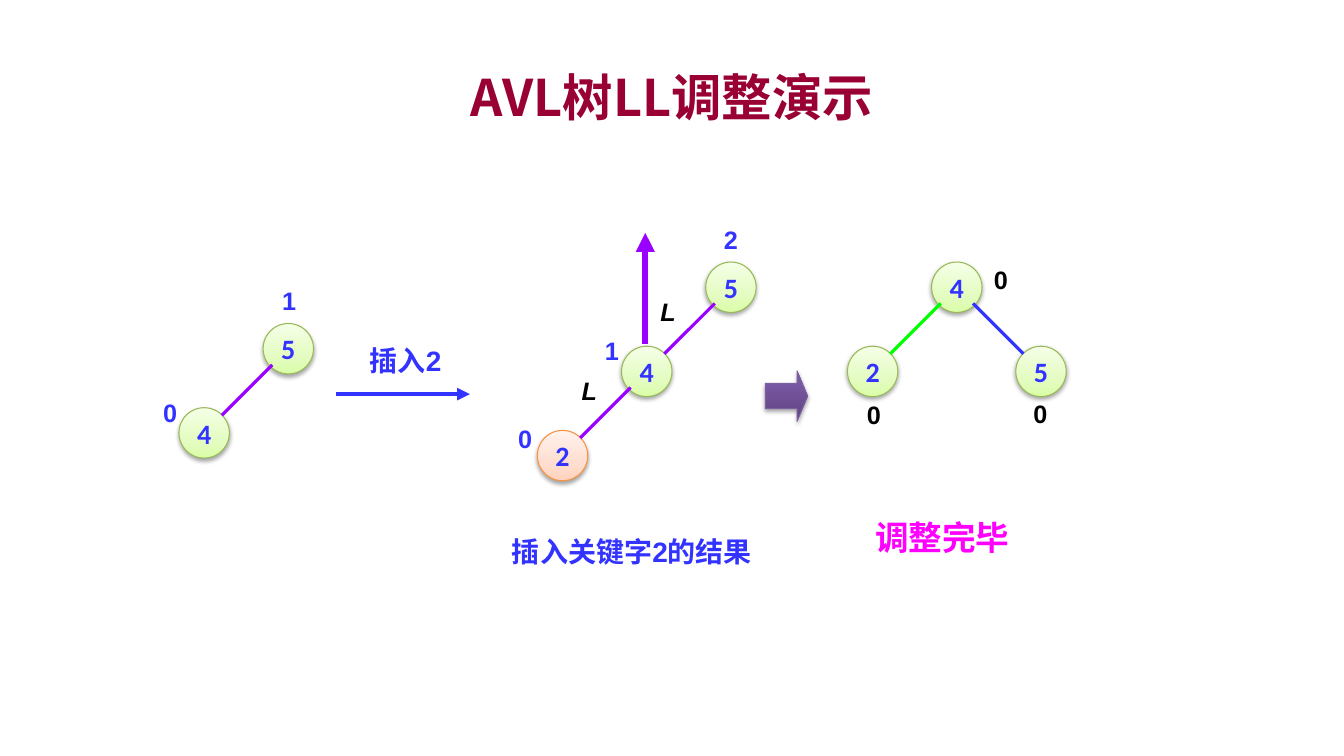
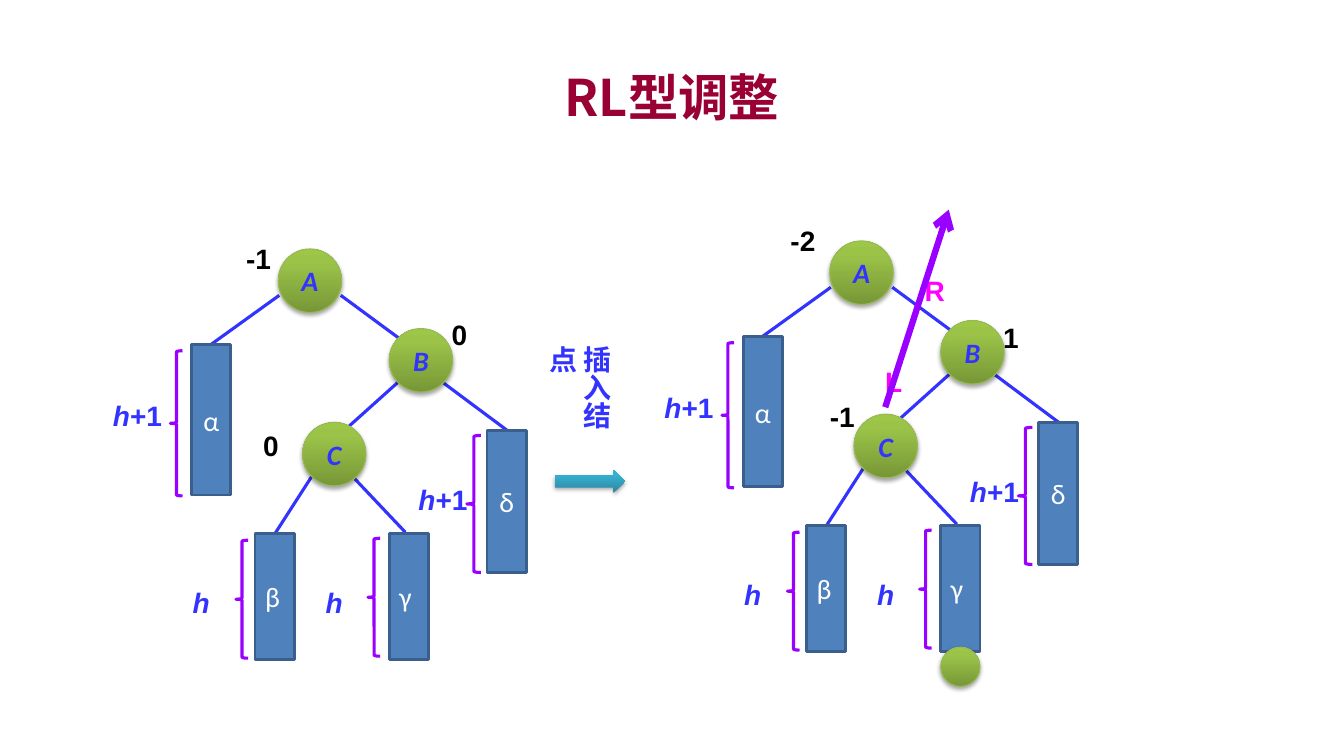
from copy import deepcopy

from lxml import etree
from pptx import Presentation
from pptx.dml.color import RGBColor
from pptx.enum.shapes import MSO_CONNECTOR, MSO_SHAPE
from pptx.enum.text import MSO_ANCHOR, MSO_AUTO_SIZE, PP_ALIGN
from pptx.oxml.ns import qn
from pptx.util import Inches, Pt

ELLIPSE, RECTANGLE = MSO_SHAPE.OVAL, MSO_SHAPE.RECTANGLE
ARROW, BRACE = MSO_SHAPE.RIGHT_ARROW, MSO_SHAPE.LEFT_BRACE
STRAIGHT = MSO_CONNECTOR.STRAIGHT
LEFT, CENTER = PP_ALIGN.LEFT, PP_ALIGN.CENTER
MIDDLE, FIT_TEXT = MSO_ANCHOR.MIDDLE, MSO_AUTO_SIZE.SHAPE_TO_FIT_TEXT

COLORS = {
    "title": "990033", "blue": "3333FF", "purple": "9900FF", "green": "00FF00",
    "pink": "FF00FF", "black": "000000", "white": "FFFFFF",
    "bar": "4F81BD", "bar line": "3A5F8C", "olive line": "98B955",
    "orange line": "F69240", "violet line": "7D60A0",
}
# Gradient stops run from bottom to top
GRADIENTS = {
    "pale green": ((0, "DAFDA7"), (0.35, "E4FCC2"), (1, "F5FFE7")),
    "pale orange": ((0, "FFD2BD"), (0.35, "FFDED0"), (1, "FFF2ED")),
    "olive": ((0, "779737"), (0.8, "9BC348"), (1, "9DC746")),
    "violet": ((0, "5F4480"), (0.8, "7B58A6"), (1, "7C57A8")),
    "teal": ((0, "2A88A2"), (0.8, "37B1D2"), (1, "34B4D6")),
}
CJK_FONT = "Noto Sans CJK SC"


def add_item(slide, box, text="", kind=None, fill=None, line=None, width=0.75,
             size=20, color="blue", font="Arial", bold=True, italic=False,
             align=LEFT, inset=True, wrap=True):
    """Add a preset shape, or a text box when kind is None."""
    box = [Inches(value) for value in box]
    if kind is None:
        shape = slide.shapes.add_textbox(*box)
    else:
        shape = slide.shapes.add_shape(kind, *box)
        shape.shadow.inherit = False
        if fill in GRADIENTS:
            shape.fill.gradient()
            shape.fill.gradient_angle = 90
            properties = shape._element.spPr
            stop_list = properties.find(".//" + qn("a:gsLst"))
            stop_list.append(deepcopy(stop_list[0]))
            for stop, (position, stop_color) in zip(shape.fill.gradient_stops, GRADIENTS[fill]):
                stop.position = position
                stop.color.rgb = RGBColor.from_string(stop_color)
            shadow = etree.SubElement(
                properties.find(qn("a:effectLst")), qn("a:outerShdw"), blurRad=str(Pt(3.1)),
                dist=str(Pt(1.8)), dir="5400000", rotWithShape="0")
            shadow_color = etree.SubElement(shadow, qn("a:srgbClr"), val=COLORS["black"])
            etree.SubElement(shadow_color, qn("a:alpha"), val="35000")
        elif fill:
            shape.fill.solid()
            shape.fill.fore_color.rgb = RGBColor.from_string(COLORS[fill])
        else:
            shape.fill.background()
        if line:
            shape.line.color.rgb = RGBColor.from_string(COLORS[line])
            shape.line.width = Pt(width)
        else:
            shape.line.fill.background()
    if text:
        frame = shape.text_frame
        frame.word_wrap = wrap
        if kind is None:
            frame.auto_size = FIT_TEXT
        else:
            frame.vertical_anchor = MIDDLE
        if not inset:
            frame.margin_left = frame.margin_right = 0
            frame.margin_top = frame.margin_bottom = 0
        paragraph = frame.paragraphs[0]
        paragraph.add_run().text = text
        paragraph.alignment = align
        paragraph.font.name = font
        paragraph.font.size = Pt(size)
        paragraph.font.bold = bold
        paragraph.font.italic = italic
        paragraph.font.color.rgb = RGBColor.from_string(COLORS[color])
        defaults = paragraph._p.pPr.find(qn("a:defRPr"))
        etree.SubElement(defaults, qn("a:ea"), typeface=CJK_FONT)
    return shape


def add_line(slide, start, end, color="blue", width=2.25, head=None):
    points = [Inches(value) for value in (*start, *end)]
    connector = slide.shapes.add_connector(STRAIGHT, *points)
    connector.line.color.rgb = RGBColor.from_string(COLORS[color])
    connector.line.width = Pt(width)
    if head:
        etree.SubElement(connector.line._get_or_add_ln(), qn("a:tailEnd"), type=head)
    etree.SubElement(connector._element.spPr, qn("a:effectLst"))


presentation = Presentation()
presentation.slide_width = Inches(13.33)
presentation.slide_height = Inches(7.5)
slides = []
for title in ("AVL树LL调整演示", "RL型调整"):
    slide = presentation.slides.add_slide(presentation.slide_layouts[6])
    title_box = add_item(slide, (1, 0.58, 11.33, 0.75), title, size=36, color="title",
                         font=CJK_FONT, align=CENTER)
    title_box.text_frame.auto_size = MSO_AUTO_SIZE.NONE
    title_box.text_frame.vertical_anchor = MIDDLE
    slides.append(slide)
ll_slide, rl_slide = slides

# LL rotation: node places are columns and rows counted from the root
STEP = 0.835
NODE = 0.5
EDGE_START, EDGE_END = 0.16, 0.66
ll_trees = [
    ((2.86, 3.46), [("5", 0, 0), ("4", -1, 1)], [(0, 0, -1, "purple")]),
    ((7.25, 2.85), [("5", 0, 0), ("4", -1, 1), ("2", -2, 2)],
     [(0, 0, -1, "purple"), (-1, 1, -1, "purple")]),
    ((9.49, 2.85), [("4", 0, 0), ("2", -1, 1), ("5", 1, 1)],
     [(0, 0, -1, "green"), (0, 0, 1, "blue")]),
]
for (root_x, root_y), nodes, edges in ll_trees:
    for key, column, row in nodes:
        inserted = row == 2
        left = root_x + column * STEP - NODE / 2
        top = root_y + row * STEP - NODE / 2
        add_item(ll_slide, (left, top, NODE, NODE), key, ELLIPSE,
                 "pale orange" if inserted else "pale green",
                 "orange line" if inserted else "olive line",
                 font="Calibri", align=CENTER, wrap=False)
    for column, row, side, color in edges:
        x, y = root_x + column * STEP, root_y + row * STEP
        add_line(ll_slide, (x + side * EDGE_START, y + EDGE_START),
                 (x + side * EDGE_END, y + EDGE_END), color)

for text, left, top, color in [
    ("0", 1.52, 3.89, "blue"), ("1", 2.7, 2.78, "blue"),
    ("0", 5.04, 4.15, "blue"), ("1", 5.9, 3.28, "blue"), ("2", 7.08, 2.18, "blue"),
    ("L", 6.45, 2.89, "black"), ("L", 5.67, 3.67, "black"),
    ("0", 8.5, 3.91, "black"), ("0", 10.15, 3.9, "black"), ("0", 9.76, 2.57, "black"),
]:
    add_item(ll_slide, (left, top, 0.31, 0.4), text, size=18, color=color, italic=text == "L")

add_item(ll_slide, (3.57, 3.36, 1.1, 0.43), "插入2")
add_item(ll_slide, (4.98, 5.25, 2.76, 0.43), "插入关键字2的结果")
add_item(ll_slide, (8.58, 5.08, 1.89, 0.5), "调整完毕", size=24, color="pink")
add_line(ll_slide, (3.33, 3.91), (4.66, 3.91), width=3, head="triangle")
add_line(ll_slide, (6.4, 3.41), (6.4, 2.31), "purple", 4.5, "triangle")
block_arrow = add_item(ll_slide, (7.59, 3.68, 0.42, 0.5), kind=ARROW,
                       fill="violet", line="violet line")
block_arrow.adjustments[1] = 0.25

# RL rotation: the same tree before and after the insertion
BAR_WIDTH = 0.39
BIG_NODE = 0.63
rl_edges = [
    ((2.77, 2.93), (2.09, 3.42)), ((3.38, 2.93), (3.95, 3.35)),
    ((3.95, 3.79), (3.46, 4.23)), ((4.4, 3.8), (5.03, 4.27)),
    ((3.09, 4.73), (2.73, 5.29)), ((3.49, 4.72), (4.02, 5.28)),
]
rl_nodes = [("A", 2.76, 2.47), ("B", 3.86, 3.26), ("C", 3, 4.19)]
# Name, bar (left, top, height), brace box, height label place, suffix, alignment
subtrees = [
    ("α", (1.9, 3.42, 1.49), (1.69, 3.48, 0.12, 1.44), (1.12, 3.95), "+1", CENTER),
    ("δ", (4.83, 4.27, 1.41), (4.63, 4.32, 0.14, 1.36), (4.15, 4.79), "+1", CENTER),
    ("β", (2.53, 5.29, 1.25), (2.34, 5.36, 0.12, 1.17), (1.91, 5.81), "", LEFT),
    ("γ", (3.86, 5.29, 1.25), (3.65, 5.34, 0.12, 1.17), (3.23, 5.81), "", LEFT),
]
for shift_x, shift_y in ((0, 0), (5.47, -0.08)):
    for (x1, y1), (x2, y2) in rl_edges:
        add_line(rl_slide, (x1 + shift_x, y1 + shift_y), (x2 + shift_x, y2 + shift_y))
    for name, (left, top, height), brace, (label_x, label_y), suffix, align in subtrees:
        add_item(rl_slide, (left + shift_x, top + shift_y, BAR_WIDTH, height), name,
                 RECTANGLE, "bar", "bar line", 2, color="white", font="Calibri",
                 bold=False, align=align)
        add_item(rl_slide, (brace[0] + shift_x, brace[1] + shift_y, *brace[2:]),
                 kind=BRACE, line="purple", width=2.25)
        label = add_item(rl_slide, (label_x + shift_x, label_y + shift_y, 0.54, 0.34),
                         "h", italic=True, inset=False)
        if suffix:
            run = label.text_frame.paragraphs[0].add_run()
            run.text = suffix
            run.font.italic = False
    for name, left, top in rl_nodes:
        add_item(rl_slide, (left + shift_x, top + shift_y, BIG_NODE, BIG_NODE), name,
                 ELLIPSE, "olive", "olive line", font="Calibri", italic=True,
                 align=CENTER)

for text, left, top, color in [
    ("-1", 2.44, 2.4, "black"), ("0", 4.48, 3.15, "black"), ("0", 2.61, 4.25, "black"),
    ("-2", 7.84, 2.22, "black"), ("1", 9.95, 3.18, "black"), ("-1", 8.23, 3.96, "black"),
    ("R", 9.17, 2.71, "pink"), ("L", 8.78, 3.62, "pink"),
]:
    add_item(rl_slide, (left, top, 0.39, 0.34), text, color=color, inset=False)

add_item(rl_slide, (9.33, 6.42, 0.39, 0.39), kind=ELLIPSE, fill="olive", line="olive line")
add_item(rl_slide, (5.5, 4.66, 0.7, 0.23), kind=ARROW, fill="teal")
insert_label = add_item(rl_slide, (5.59, 3.33, 0.54, 1.25), "插入结点")
insert_label.text_frame._txBody.bodyPr.set("vert", "eaVert")
add_line(rl_slide, (8.78, 4.04), (9.41, 2.08), "purple", 4.5, "arrow")

presentation.save("out.pptx")
